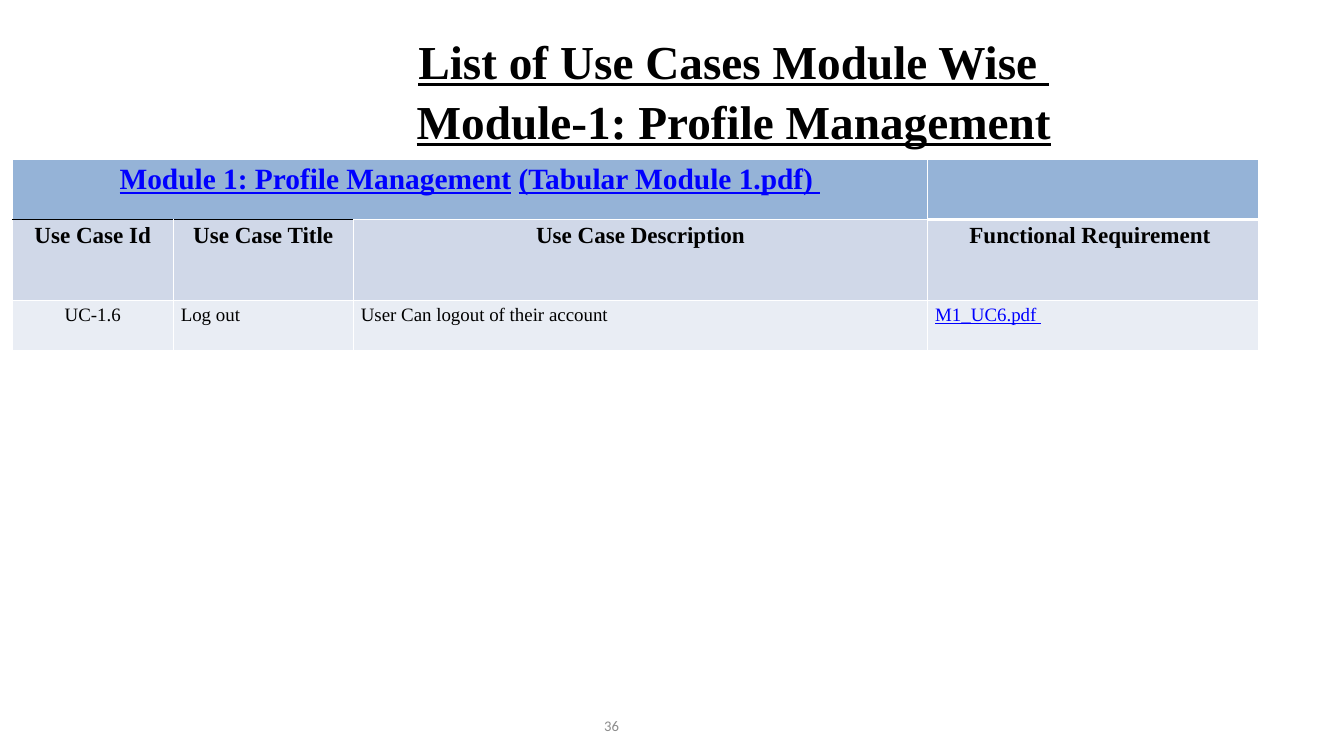
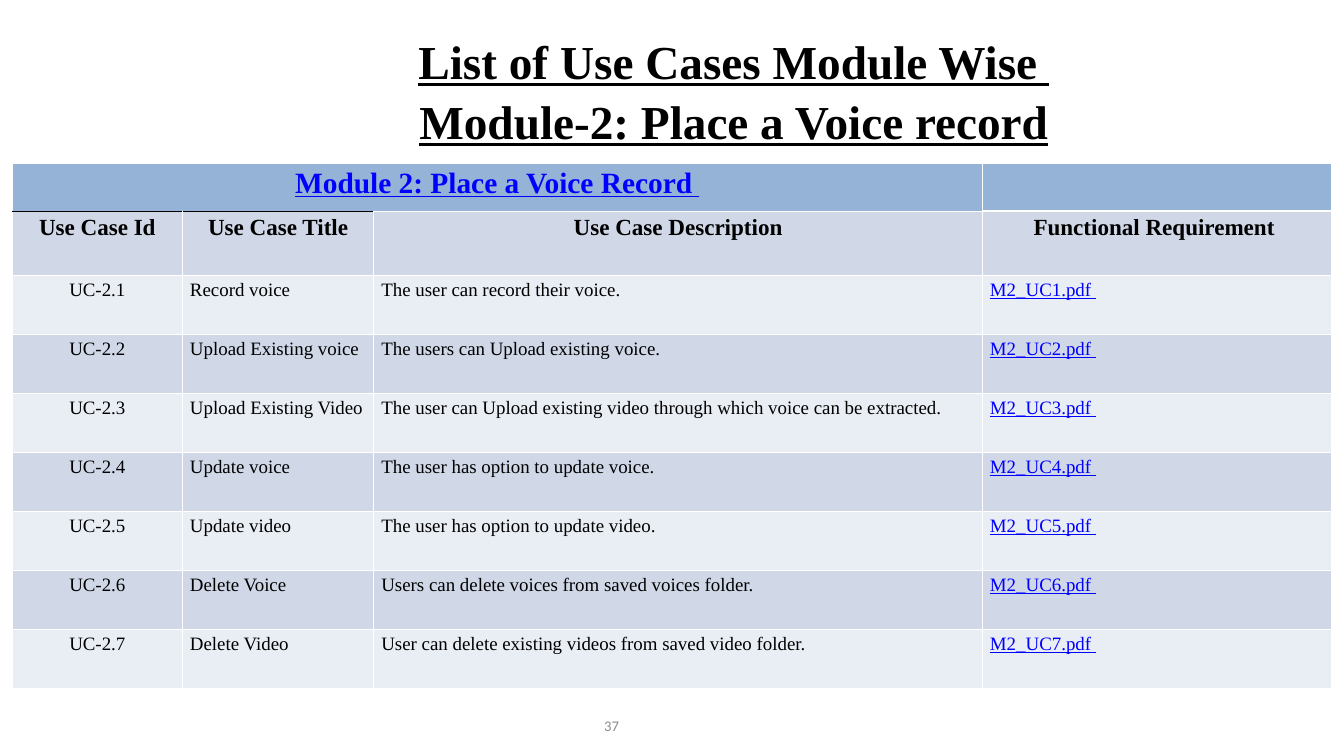
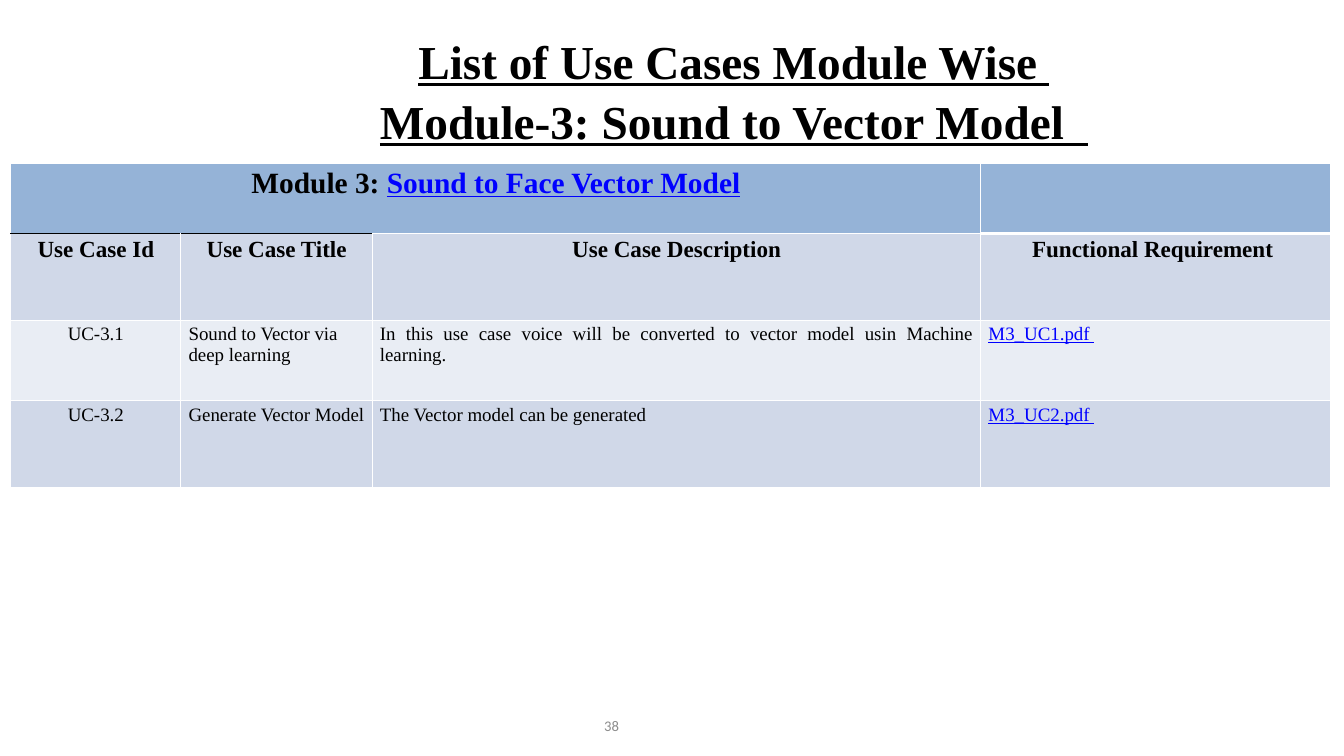
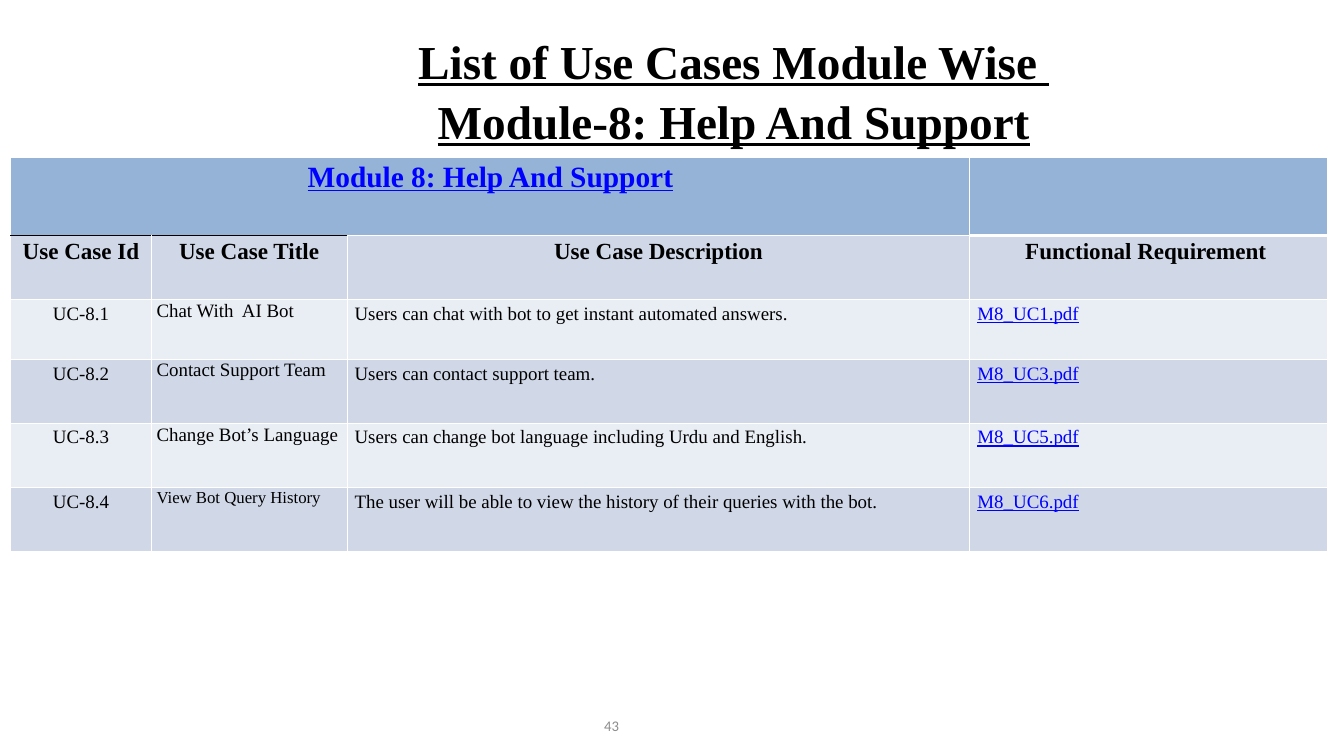
import pptx
import pptx.dml.color
import pptx.enum.text
import pptx.oxml.ns
import pptx.util
from lxml import etree

Cm = pptx.util.Cm
Pt = pptx.util.Pt
ALIGN = pptx.enum.text.PP_ALIGN
ANCHOR = pptx.enum.text.MSO_ANCHOR
qn = pptx.oxml.ns.qn

BLACK, WHITE, GREY, LINK = "000000", "FFFFFF", "8C8C8C", "0000FF"
BANNER, BAND_DARK, BAND_LIGHT = "95B3D7", "D0D8E8", "E9EDF4"
SERIF = "Times New Roman"

TITLE_FORMAT = {"name": SERIF, "size": Pt(45), "bold": True, "underline": True}
BANNER_FORMAT = {"name": SERIF, "size": Pt(28), "bold": True}
HEADING_FORMAT = {"name": SERIF, "size": Pt(22), "bold": True}
BODY_FORMAT = {"name": SERIF, "size": Pt(18), "bold": False}
NUMBER_FORMAT = {"name": "Calibri", "size": Pt(14)}

FRAME_FORMAT = {
    "margin_left": Cm(0.28), "margin_right": Cm(0.28),
    "margin_top": Cm(0.15), "margin_bottom": Cm(0.15),
    "word_wrap": True, "auto_size": pptx.enum.text.MSO_AUTO_SIZE.NONE,
}
TIGHT_CELL = {
    "margin_left": Cm(0.18), "margin_right": Cm(0.18),
    "margin_top": 0, "margin_bottom": 0,
}

TITLE_PLACE = (7.47, 0.84, 34.37, 3.18)
WIDE_TITLE_PLACE = (5.74, 0.84, 37.82, 3.18)
NUMBER_PLACE = (19.2, 23.7, 1.88, 1.35)
HEADINGS = ["Use Case Id", "Use Case Title", "Use Case Description",
            "Functional Requirement "]
COLUMN_ALIGN = [ALIGN.CENTER, ALIGN.LEFT, ALIGN.JUSTIFY, ALIGN.JUSTIFY]
WIDE_COLUMNS = [5.72, 6.43, 20.45, 11.73]

# banner: (text, is link); cases: (number, title, description, requirement file)
MODULES = [
    {
        "module": 1, "page": 36, "title": "Module-1: Profile Management",
        "banner": [("Module 1: Profile Management", True), (" ", False),
                   ("(Tabular Module 1.pdf) ", True)],
        "origin": (0.41, 5.36), "columns": [5.41, 6.05, 19.3, 11.1],
        "rows": [2.01, 2.74, 1.65],
        "cases": [(6, "Log out", "User Can logout of their account", "M1_UC6.pdf ")],
    },
    {
        "module": 2, "page": 37, "title": "Module-2: Place a Voice record",
        "banner": [("Module 2: Place a Voice Record ", True)],
        "origin": (0.41, 5.49), "columns": WIDE_COLUMNS,
        "rows": [1.6, 2.18] + [1.98] * 7,
        "cases": [
            (1, "Record voice", "The user can record their voice.", "M2_UC1.pdf "),
            (2, "Upload Existing voice", "The users can Upload existing voice.",
             "M2_UC2.pdf "),
            (3, "Upload Existing Video",
             "The user can Upload existing video through which voice can be extracted.",
             "M2_UC3.pdf "),
            (4, "Update voice", "The user has option to update voice.", "M2_UC4.pdf "),
            (5, "Update video", "The user has option to update video.", "M2_UC5.pdf "),
            (6, "Delete Voice", "Users can delete voices from saved voices folder.",
             "M2_UC6.pdf "),
            (7, "Delete Video",
             "User can delete existing videos from saved video folder.",
             "M2_UC7.pdf "),
        ],
    },
    {
        "module": 3, "page": 38, "title": "Module-3: Sound to Vector Model  ",
        "banner": [("Module 3: ", False), ("Sound to Face Vector Model", True)],
        "origin": (0.36, 5.49), "columns": WIDE_COLUMNS,
        "rows": [2.36, 2.9, 2.72, 2.9],
        "cases": [
            (1, "Sound to Vector via deep learning",
             "In this use case voice will be converted to vector model usin "
             "Machine learning. ", "M3_UC1.pdf "),
            (2, "Generate Vector Model", "The Vector model can be generated",
             "M3_UC2.pdf "),
        ],
    },
    {
        "module": 8, "page": 43, "title": "Module-8: Help And Support",
        "title_place": WIDE_TITLE_PLACE,
        "banner": [("Module 8: Help And Support", True)],
        "origin": (0.36, 5.28), "columns": [4.72, 6.58, 20.93, 12.01],
        "rows": [2.62, 2.16, 2.03, 2.13, 2.16, 2.16],
        "cases": [
            (1, "Chat With  AI Bot",
             "Users can chat with bot to get instant automated answers.",
             "M8_UC1.pdf"),
            (2, "Contact Support Team", "Users can contact support team.",
             "M8_UC3.pdf"),
            (3, "Change Bot’s Language",
             "Users can change bot language including Urdu and English.",
             "M8_UC5.pdf"),
            (4, "View Bot Query History",
             "The user will be able to view the history of their queries with the bot.",
             "M8_UC6.pdf"),
        ],
        "tight_titles": True,
        "title_spacing": {1: 1.07, 3: 1.07, 4: 1.07},
        "title_sizes": {4: 16},
    },
]


def rgb(color):
    return pptx.dml.color.RGBColor.from_string(color)


def apply(target, values):
    for name, value in values.items():
        setattr(target, name, value)


def style_font(font, values, color):
    apply(font, values)
    font.color.rgb = rgb(color)


def add_run(paragraph, text, values, link=False):
    run = paragraph.add_run()
    run.text = text
    style_font(run.font, values, LINK if link else BLACK)
    run.font.underline = link


def set_title(slide, text, place):
    title = slide.shapes.title
    apply(title, dict(zip(("left", "top", "width", "height"), map(Cm, place))))
    frame = title.text_frame
    apply(frame, FRAME_FORMAT)
    frame.vertical_anchor = ANCHOR.TOP
    frame.text = f"List of Use Cases Module Wise \v{text}"
    paragraph = frame.paragraphs[0]
    apply(paragraph, {"alignment": ALIGN.CENTER, "line_spacing": 1.05})
    for run in paragraph.runs:
        style_font(run.font, TITLE_FORMAT, BLACK)


def add_page_number(slide, number):
    frame = slide.shapes.add_textbox(*map(Cm, NUMBER_PLACE)).text_frame
    apply(frame, FRAME_FORMAT)
    frame.vertical_anchor = ANCHOR.MIDDLE
    paragraph = frame.paragraphs[0]
    paragraph.alignment = ALIGN.RIGHT
    run = paragraph.add_run()
    run.text = str(number)
    style_font(run.font, NUMBER_FORMAT, GREY)


def set_borders(cell, top=WHITE, bottom=WHITE, bottom_width=1):
    properties = cell._tc.get_or_add_tcPr()
    sides = {"lnL": (WHITE, 1), "lnR": (WHITE, 1),
             "lnT": (top, 1), "lnB": (bottom, bottom_width)}
    for side, (color, width) in sides.items():
        line = etree.SubElement(properties, qn(f"a:{side}"), w=str(Pt(width)))
        fill = etree.SubElement(line, qn("a:solidFill"))
        etree.SubElement(fill, qn("a:srgbClr"), val=color)


def format_grid(table):
    """Band the rows and rule the cells, black under the first two columns' banner."""
    for row_index, row in enumerate(table.rows):
        for column_index, cell in enumerate(row.cells):
            edge = BLACK if column_index < 2 else WHITE
            if row_index == 0:
                color = BANNER
                set_borders(cell, bottom=edge,
                            bottom_width=3 if column_index == 3 else 1)
            else:
                color = BAND_DARK if row_index % 2 else BAND_LIGHT
                set_borders(cell, top=edge if row_index == 1 else WHITE)
            cell.fill.solid()
            cell.fill.fore_color.rgb = rgb(color)


def fill_cell(cell, runs, values, alignment):
    paragraph = cell.text_frame.paragraphs[0]
    paragraph.alignment = alignment
    for text, link in runs:
        add_run(paragraph, text, values, link)
    return paragraph


def fill_case(table, row_index, module, case):
    number, title, description, requirement = case
    texts = [f"UC-{module['module']}.{number}", title, description, requirement]
    for column_index, text in enumerate(texts):
        cell = table.cell(row_index, column_index)
        paragraph = fill_cell(cell, [(text, column_index == 3)], BODY_FORMAT,
                              COLUMN_ALIGN[column_index])
        if column_index == 1 and module.get("tight_titles"):
            apply(cell, TIGHT_CELL)
            paragraph.line_spacing = module["title_spacing"].get(number)
            paragraph.runs[0].font.size = Pt(module["title_sizes"].get(number, 18))


def add_use_case_table(slide, module):
    columns, rows = module["columns"], module["rows"]
    left, top = module["origin"]
    table = slide.shapes.add_table(
        len(rows), len(columns), Cm(left), Cm(top),
        Cm(sum(columns)), Cm(sum(rows))).table
    for column, width in zip(table.columns, columns):
        column.width = Cm(width)
    for row, height in zip(table.rows, rows):
        row.height = Cm(height)
    format_grid(table)
    table.cell(0, 0).merge(table.cell(0, 2))
    fill_cell(table.cell(0, 0), module["banner"], BANNER_FORMAT, ALIGN.CENTER)
    for column_index, heading in enumerate(HEADINGS):
        fill_cell(table.cell(1, column_index), [(heading, False)],
                  HEADING_FORMAT, ALIGN.CENTER)
    for row_index, case in enumerate(module["cases"], start=2):
        fill_case(table, row_index, module, case)


def main():
    presentation = pptx.Presentation()
    presentation.slide_width = Cm(45.16)
    presentation.slide_height = Cm(25.4)
    title_only = presentation.slide_layouts[5]
    for module in MODULES:
        slide = presentation.slides.add_slide(title_only)
        set_title(slide, module["title"], module.get("title_place", TITLE_PLACE))
        add_page_number(slide, module["page"])
        add_use_case_table(slide, module)
    presentation.save("out.pptx")


if __name__ == "__main__":
    main()
